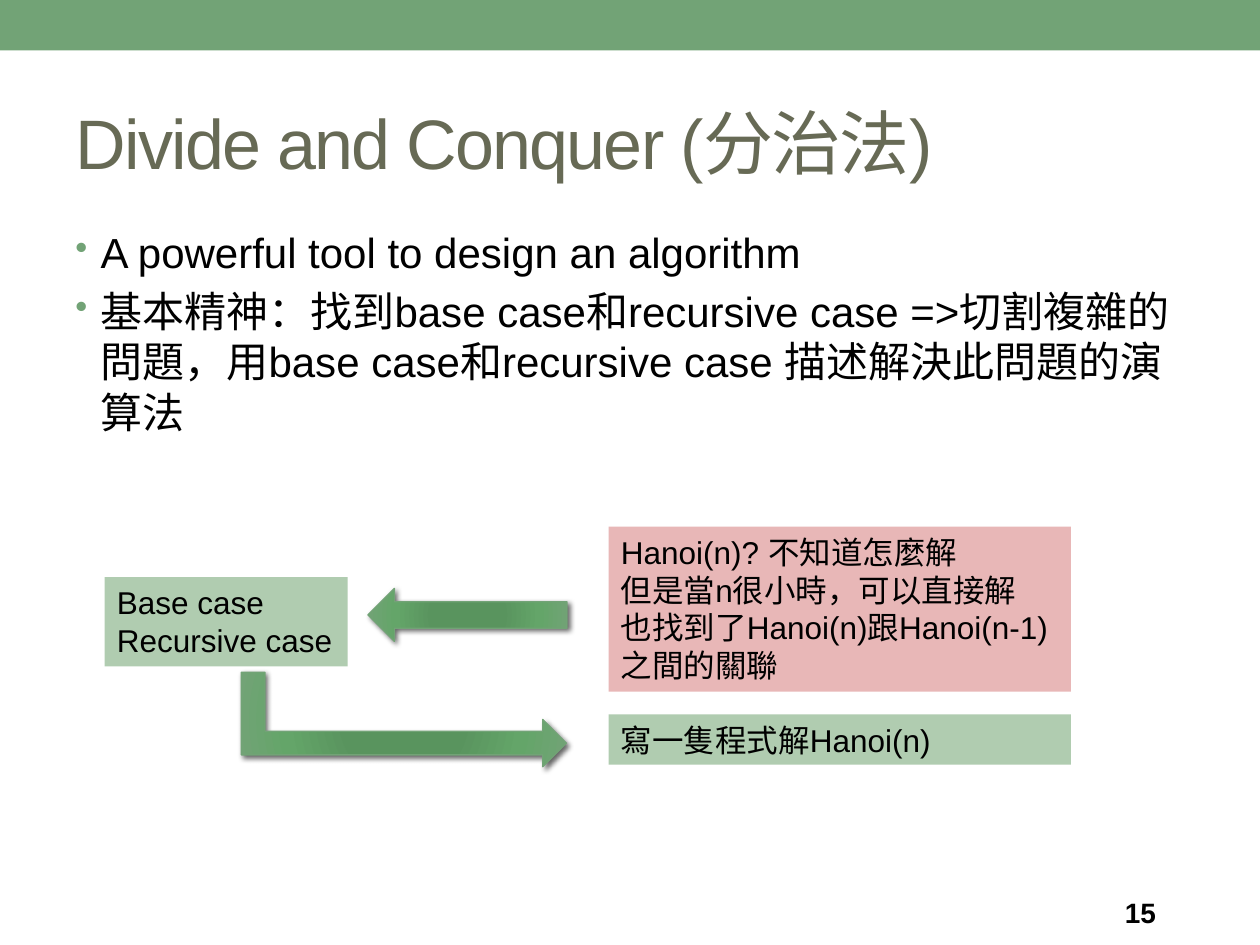
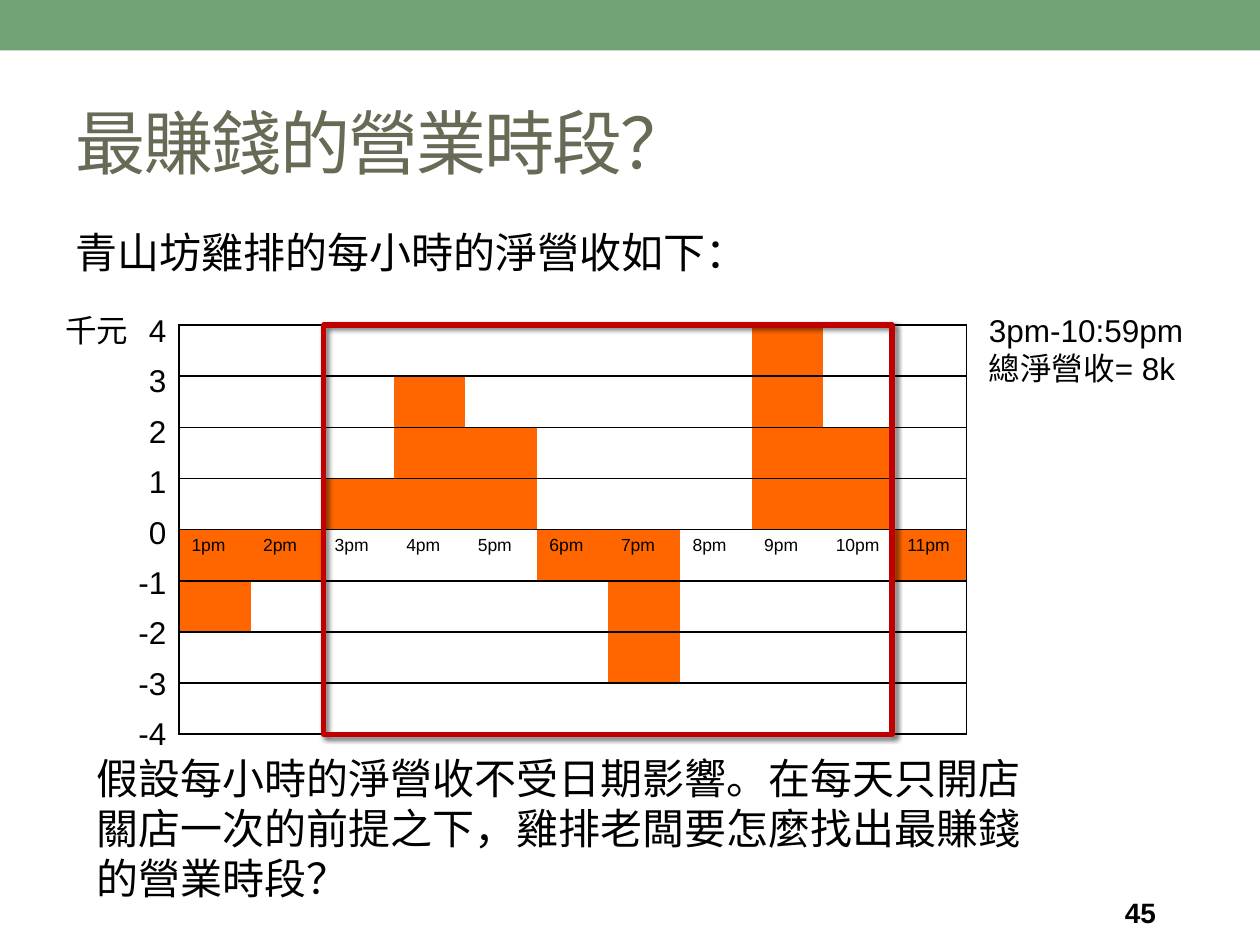
from lxml import etree
from pptx import Presentation
from pptx.dml.color import RGBColor
from pptx.enum.shapes import MSO_SHAPE
from pptx.enum.text import MSO_ANCHOR, MSO_AUTO_SIZE, PP_ALIGN
from pptx.oxml.ns import qn
from pptx.util import Inches, Pt

RECT = MSO_SHAPE.RECTANGLE
RIGHT_ARROW, BENT_ARROW = MSO_SHAPE.RIGHT_ARROW, MSO_SHAPE.BENT_UP_ARROW
TOP, MIDDLE = MSO_ANCHOR.TOP, MSO_ANCHOR.MIDDLE
LEFT, RIGHT = PP_ALIGN.LEFT, PP_ALIGN.RIGHT
NO_AUTOFIT = MSO_AUTO_SIZE.NONE

GREEN = RGBColor(0x72, 0xA3, 0x76)
PALE_GREEN = RGBColor(0xB0, 0xCC, 0xB0)
PINK = RGBColor(0xE8, 0xB7, 0xB7)
OLIVE = RGBColor(0x67, 0x6A, 0x55)
ORANGE = RGBColor(0xFF, 0x66, 0x00)
RED = RGBColor(0xC0, 0x00, 0x00)
BLACK = RGBColor(0, 0, 0)
WHITE = RGBColor(0xFF, 0xFF, 0xFF)
ARROW_STOPS = [(0, RGBColor(0x57, 0x96, 0x5C)), (34, RGBColor(0x59, 0x94, 0x5E)),
               (70, RGBColor(0x64, 0xA5, 0x69)), (100, GREEN)]
NO_GRID_STYLE = "{2D5ABB26-0587-4C30-8999-92F81FD0307C}"

HOURS = [f"{hour}pm" for hour in range(1, 12)]
REVENUE = [-2, -1, 1, 3, 2, -1, -3, 0, 4, 2, -1]
PEAK = 4


def child(parent, tag, **attrs):
    el = etree.SubElement(parent, qn(tag))
    for name, value in attrs.items():
        el.set(name, str(value))
    return el


def color(parent, rgb):
    return child(parent, "a:srgbClr", val=rgb)


class Deck:
    font = "Arial"

    def __init__(self):
        self.prs = Presentation()
        self.prs.slide_width, self.prs.slide_height = Inches(10), Inches(7.5)
        self.slide = None

    def new_slide(self, title, number):
        self.slide = self.prs.slides.add_slide(self.prs.slide_layouts[5])
        # Top band
        self.shape(RECT, (0, 0, 10, 0.4), fill=GREEN)
        # Title
        sp = self.slide.shapes.title
        sp.left, sp.top, sp.width, sp.height = map(Inches, (0.5, 0.58, 9, 1.08))
        self.fill_text(sp.text_frame, [title], size=40, rgb=OLIVE, anchor=MIDDLE)
        r = sp.text_frame.paragraphs[0].runs[0]
        r._r.get_or_add_rPr().set("spc", "-100")
        # Slide number
        self.text((8.83, 7.06, 1.17, 0.36), [number], size=16, bold=True, anchor=MIDDLE)

    def fill_text(self, tf, lines, size=18, rgb=BLACK, bold=False, align=LEFT,
                  anchor=TOP, wrap=True, bullets=False):
        frame = dict(auto_size=NO_AUTOFIT, word_wrap=wrap, vertical_anchor=anchor)
        for name, value in frame.items():
            setattr(tf, name, value)
        style = dict(name=self.font, size=Pt(size), bold=bold)
        for i, line in enumerate(lines):
            p = tf.paragraphs[0] if i == 0 else tf.add_paragraph()
            p.alignment = align
            if bullets:
                self.bullet(p)
                if i:
                    p.space_before = Pt(4.8)
            r = p.add_run()
            r.text = line
            for name, value in style.items():
                setattr(r.font, name, value)
            r.font.color.rgb = rgb

    def bullet(self, p):
        pPr = p._p.get_or_add_pPr()
        pPr.set("marL", str(Inches(0.2)))
        pPr.set("indent", str(-Inches(0.2)))
        color(child(pPr, "a:buClr"), GREEN)
        child(pPr, "a:buSzPct", val=85000)
        child(pPr, "a:buChar", char="•")

    def text(self, at, lines, fill=None, **style):
        sp = self.slide.shapes.add_textbox(*map(Inches, at))
        if fill is not None:
            sp.fill.solid()
            sp.fill.fore_color.rgb = fill
        self.fill_text(sp.text_frame, lines, **style)

    def shape(self, kind, at, fill=None, line=None, width=0.75, rotation=0, shadow=False):
        sp = self.slide.shapes.add_shape(kind, *map(Inches, at))
        sp.rotation = rotation
        sp.shadow.inherit = False
        if fill is None:
            sp.fill.background()
        else:
            sp.fill.solid()
            sp.fill.fore_color.rgb = fill
        if line is None:
            sp.line.fill.background()
        else:
            sp.line.color.rgb = line
            sp.line.width = Pt(width)
        if shadow:
            effects = sp._element.spPr.find(qn("a:effectLst"))
            outer = child(effects, "a:outerShdw", blurRad=Pt(3), dist=Pt(2),
                          dir=45 * 60000, algn="tl", rotWithShape=0)
            child(color(outer, BLACK), "a:alpha", val=60000)
        return sp

    def arrow(self, kind, at, rotation):
        sp = self.shape(kind, at, fill=GREEN, line=GREEN, rotation=rotation, shadow=True)
        sp.fill.gradient()
        grad = sp._element.spPr.find(qn("a:gradFill"))
        grad.clear()
        grad.set("rotWithShape", "1")
        stops = child(grad, "a:gsLst")
        for percent, rgb in ARROW_STOPS:
            color(child(stops, "a:gs", pos=percent * 1000), rgb)
        child(child(grad, "a:path", path="circle"), "a:fillToRect",
              l=100000, t=100000, r=100000, b=100000)

    def revenue_grid(self, at):
        rows, cols = 2 * PEAK, len(HOURS)
        frame = self.slide.shapes.add_table(rows, cols, *map(Inches, at))
        table = frame.table
        table.first_row = table.horz_banding = False
        frame._element.find(".//" + qn("a:tableStyleId")).text = NO_GRID_STYLE
        for column in table.columns:
            column.width = Inches(at[2] / cols)
        for i, row in enumerate(table.rows):
            row.height = Inches(at[3] / rows)
            for j, cell in enumerate(row.cells):
                sides = "L" * (j == 0) + "R" * (j == cols - 1) + "TB"
                self.borders(cell, sides)
                if i < PEAK:
                    filled = REVENUE[j] >= PEAK - i
                else:
                    filled = REVENUE[j] < PEAK - i
                cell.fill.solid()
                cell.fill.fore_color.rgb = ORANGE if filled else WHITE
                if i == PEAK:
                    self.fill_text(cell.text_frame, [HOURS[j]], size=10)

    def borders(self, cell, sides):
        tcPr = cell._tc.get_or_add_tcPr()
        for side in sides:
            ln = child(tcPr, f"a:ln{side}", w=Pt(1))
            color(child(ln, "a:solidFill"), BLACK)


def divide_and_conquer(deck):
    deck.new_slide("Divide and Conquer (分治法)", "15")
    deck.text((0.5, 1.75, 9, 2.92), [
        "A powerful tool to design an algorithm",
        "基本精神：找到base case和recursive case =>切割複雜的問題，"
        "用base case和recursive case 描述解決此問題的演算法",
    ], size=24, bullets=True)
    # Problem, its cases, and the program
    deck.text((4.83, 4.18, 3.67, 1.31), [
        "Hanoi(n)? 不知道怎麼解",
        "但是當n很小時，可以直接解",
        "也找到了Hanoi(n)跟Hanoi(n-1)之間的關聯",
    ], fill=PINK)
    deck.text((4.83, 5.67, 3.67, 0.4), ["寫一隻程式解Hanoi(n)"], fill=PALE_GREEN)
    deck.text((0.83, 4.58, 1.93, 0.71), ["Base case", "Recursive case"],
              fill=PALE_GREEN, wrap=False)
    # Arrows between them
    deck.arrow(BENT_ARROW, (2.83, 4.42, 0.75, 2.58), 90)
    deck.arrow(RIGHT_ARROW, (2.92, 4.67, 1.58, 0.42), 180)


def best_opening_hours(deck):
    deck.new_slide("最賺錢的營業時段？", "45")
    deck.text((0.5, 1.75, 9, 1), ["青山坊雞排的每小時的淨營收如下："], size=24)
    # Hourly revenue grid with its scale
    deck.revenue_grid((1.42, 2.58, 6.25, 3.25))
    deck.text((0.42, 2.42, 0.71, 0.4), ["千元"], wrap=False)
    for i, level in enumerate(range(PEAK, -PEAK - 1, -1)):
        width = 0.34 if level >= 0 else 0.43
        deck.text((1.42 - width, 2.42 + 0.4 * i, width, 0.4), [str(level)],
                  align=RIGHT, wrap=False)
    # Best period
    deck.shape(RECT, (2.57, 2.58, 4.51, 3.25), line=RED, width=3, shadow=True)
    deck.text((7.75, 2.42, 1.76, 0.71), ["3pm-10:59pm", "總淨營收= 8k"], wrap=False)
    # Question
    deck.text((0.67, 5.92, 7.83, 1.33), [
        "假設每小時的淨營收不受日期影響。在每天只開店關店一次的前提之下，"
        "雞排老闆要怎麼找出最賺錢的營業時段？"], size=24)


def main():
    deck = Deck()
    divide_and_conquer(deck)
    best_opening_hours(deck)
    deck.prs.save("out.pptx")


if __name__ == "__main__":
    main()
